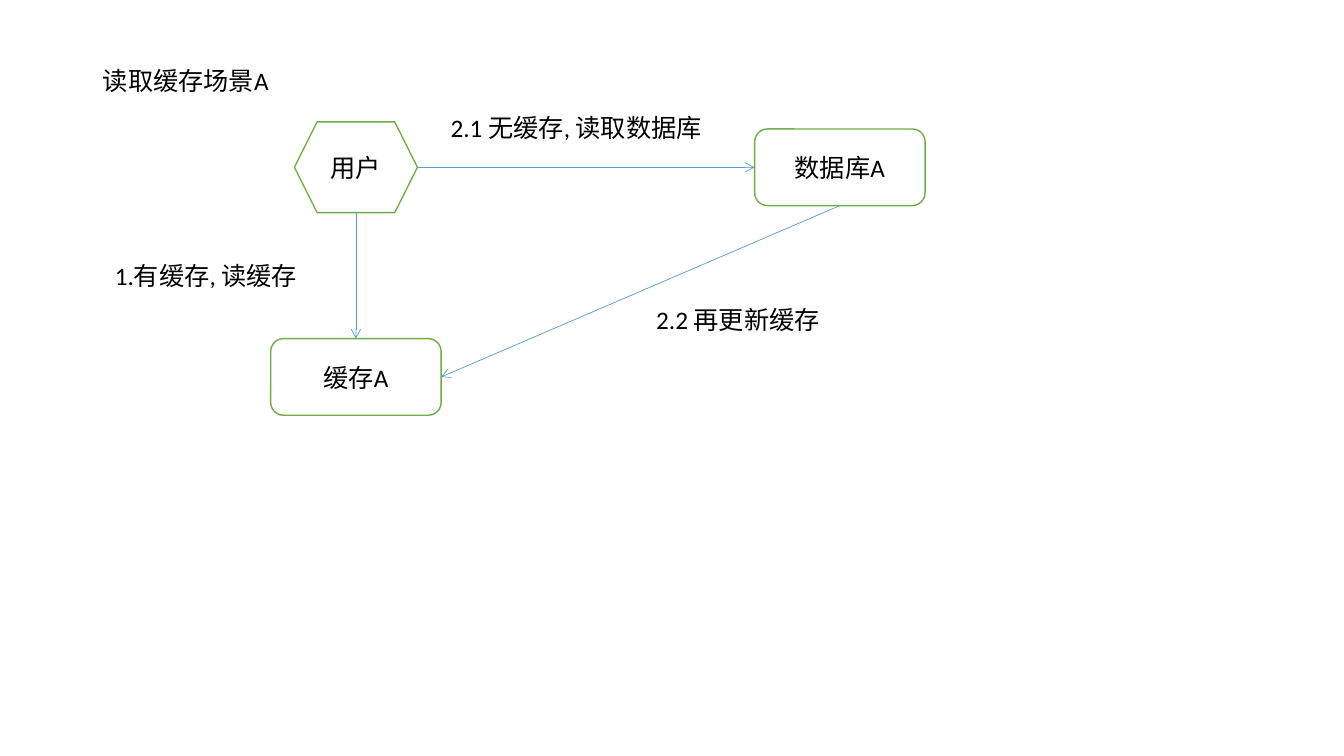
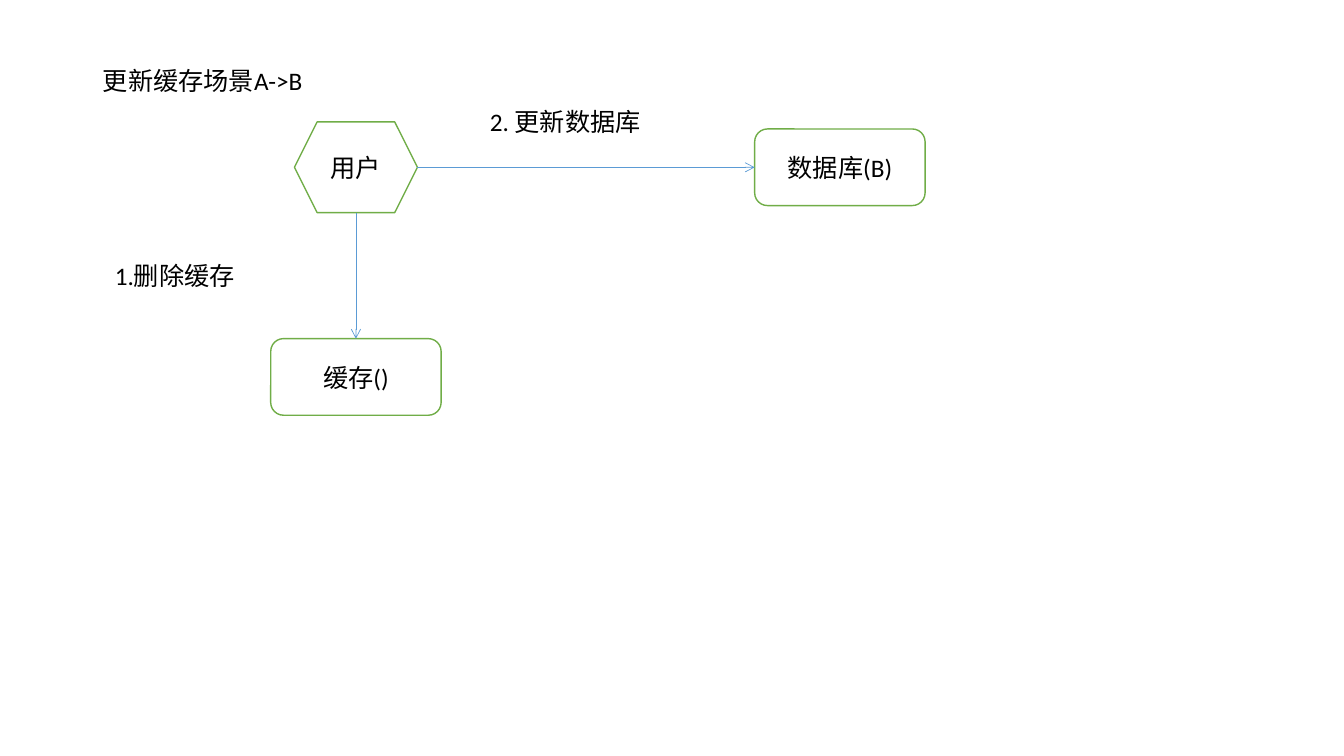
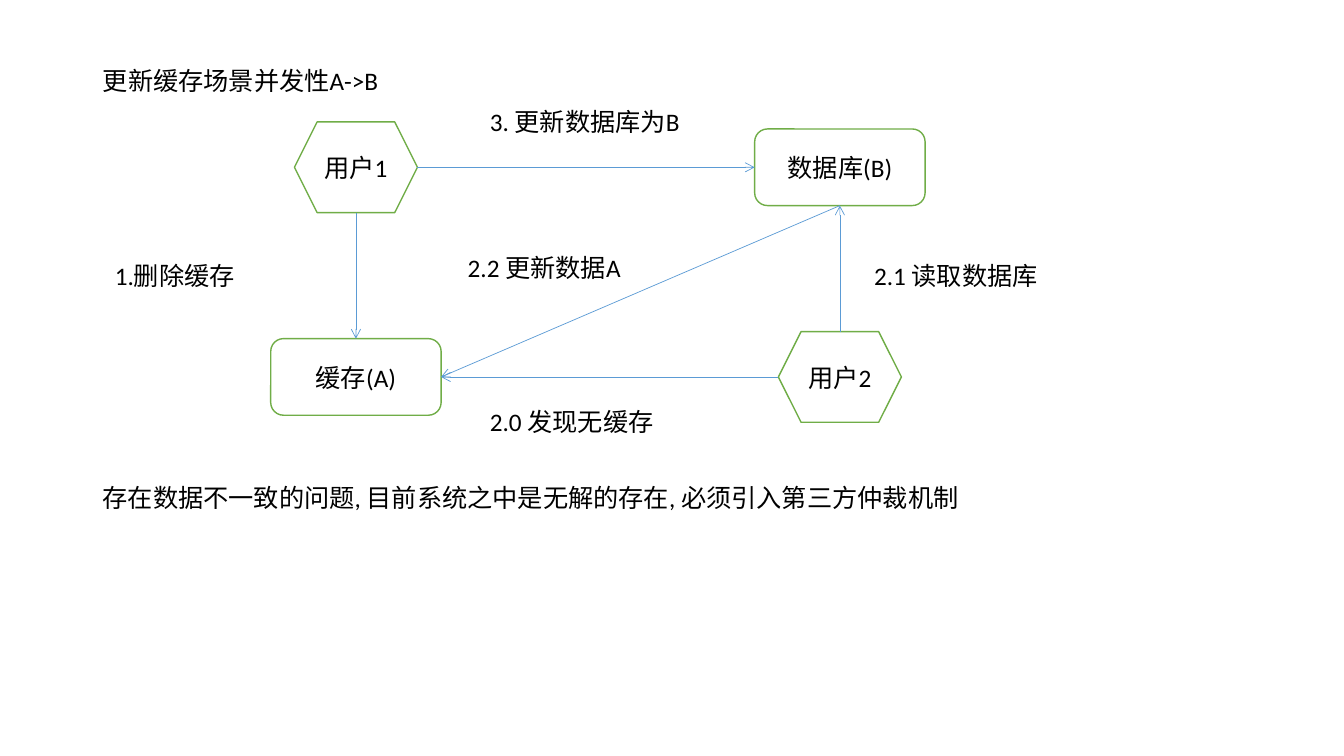
from lxml.etree import SubElement
from pptx import Presentation
from pptx.dml.color import RGBColor
from pptx.enum.shapes import MSO_CONNECTOR, MSO_SHAPE
from pptx.enum.text import MSO_ANCHOR, MSO_AUTO_SIZE, PP_ALIGN
from pptx.oxml.ns import qn
from pptx.util import Inches, Pt

COLORS = {"text": "000000", "fill": "FFFFFF", "outline": "70AD47", "arrow": "5B9BD5"}
FONT = "Calibri"
COLS = (3.53, 8.33)  # centres of the node grid, in inches
ROWS = (1.66, 3.74)
BOX = (1.69, 0.76)
HEXAGON = (1.22, 0.9)
LINE_HEIGHT = 0.4
MARGIN = 0.92
LABEL_LEFT = 1.04
LABEL_MID = 4.76
LABEL_ROW = 2.53
TOP, LEFT, BOTTOM, RIGHT = range(4)


def color(name):
    return RGBColor.from_string(COLORS[name])


def write(shape, text, align, anchor):
    tf = shape.text_frame
    tf.text = text
    tf.word_wrap = True
    tf.vertical_anchor = anchor
    p = tf.paragraphs[0]
    p.alignment = align
    p.font.name = FONT
    p.font.size = Pt(18)
    p.font.color.rgb = color("text")
    return tf


def write_line(shape, text):
    tf = write(shape, text, PP_ALIGN.LEFT, MSO_ANCHOR.TOP)
    tf.auto_size = MSO_AUTO_SIZE.SHAPE_TO_FIT_TEXT


def add_titled_slide(prs, title, width=2.58):
    s = prs.slides.add_slide(prs.slide_layouts[5])
    shape = s.shapes.title
    shape.left, shape.top = Inches(MARGIN), Inches(0.6)
    shape.width, shape.height = Inches(width), Inches(LINE_HEIGHT)
    write_line(shape, title)
    return s


def add_label(s, text, x, y, width):
    write_line(s.shapes.add_textbox(Inches(x), Inches(y), Inches(width), Inches(LINE_HEIGHT)), text)


def add_node(s, kind, size, text, col, row):
    """Place a node centred on a grid point."""
    w, h = size
    sp = s.shapes.add_shape(kind, Inches(COLS[col] - w / 2), Inches(ROWS[row] - h / 2),
                            Inches(w), Inches(h))
    sp.shadow.inherit = False
    sp.fill.solid()
    sp.fill.fore_color.rgb = color("fill")
    sp.line.color.rgb = color("outline")
    sp.line.width = Pt(1)
    write(sp, text, PP_ALIGN.CENTER, MSO_ANCHOR.MIDDLE)
    return sp


def add_box(s, text, col, row):
    return add_node(s, MSO_SHAPE.ROUNDED_RECTANGLE, BOX, text, col, row)


def add_user(s, text, col, row):
    return add_node(s, MSO_SHAPE.HEXAGON, HEXAGON, text, col, row)


def side_point(sp, side):
    x_share, y_share = ((0.5, 0), (0, 0.5), (0.5, 1), (1, 0.5))[side]
    return sp.left + int(sp.width * x_share), sp.top + int(sp.height * y_share)


def add_arrow(s, source, source_side, target, target_side):
    """Draw an arrow between sides, joined wherever the node is a box."""
    line = s.shapes.add_connector(MSO_CONNECTOR.STRAIGHT, *side_point(source, source_side),
                                  *side_point(target, target_side))
    if source.auto_shape_type == MSO_SHAPE.ROUNDED_RECTANGLE:
        line.begin_connect(source, source_side)
    if target.auto_shape_type == MSO_SHAPE.ROUNDED_RECTANGLE:
        line.end_connect(target, target_side)
    line.line.color.rgb = color("arrow")
    line.line.width = Pt(0.5)
    SubElement(line.line._get_or_add_ln(), qn("a:tailEnd"), type="arrow")
    SubElement(line._element.spPr, qn("a:effectLst"))


def add_cache_flow(s, cache_text, database_text, user_text, cache_step):
    """Draw the user, cache and database with the user's two arrows."""
    cache = add_box(s, cache_text, 0, 1)
    database = add_box(s, database_text, 1, 0)
    user = add_user(s, user_text, 0, 0)
    add_arrow(s, user, BOTTOM, cache, TOP)
    add_arrow(s, user, RIGHT, database, LEFT)
    add_label(s, cache_step, LABEL_LEFT, LABEL_ROW, 2.33)
    return cache, database


def build_read(prs):
    s = add_titled_slide(prs, "读取缓存场景A")
    cache, database = add_cache_flow(s, "缓存A", "数据库A", "用户", "1.有缓存, 读缓存")
    add_label(s, "2.1 无缓存, 读取数据库", 4.37, 1.07, 2.88)
    add_arrow(s, database, BOTTOM, cache, RIGHT)
    add_label(s, "2.2 再更新缓存", 6.41, 2.97, 2)


def build_update(prs):
    s = add_titled_slide(prs, "更新缓存场景A->B")
    add_cache_flow(s, "缓存()", "数据库(B)", "用户", "1.删除缓存")
    add_label(s, "2. 更新数据库", LABEL_MID, 1.01, 2.1)


def build_concurrent_update(prs):
    s = add_titled_slide(prs, "更新缓存场景并发性A->B", 3.14)
    cache, database = add_cache_flow(s, "缓存(A)", "数据库(B)", "用户1", "1.删除缓存")
    add_label(s, "3. 更新数据库为B", LABEL_MID, 1.01, 2.44)
    user = add_user(s, "用户2", 1, 1)
    add_arrow(s, user, LEFT, cache, RIGHT)
    add_arrow(s, user, TOP, database, BOTTOM)
    add_label(s, "2.1 读取数据库", 8.57, LABEL_ROW, 2.88)
    add_label(s, "2.0 发现无缓存", LABEL_MID, 3.98, 2.11)
    add_arrow(s, database, BOTTOM, cache, RIGHT)
    add_label(s, "2.2 更新数据A", 4.54, 2.45, 2.88)
    add_label(s, "存在数据不一致的问题, 目前系统之中是无解的存在, 必须引入第三方仲裁机制",
              MARGIN, 4.74, 8.93)


def main():
    prs = Presentation()
    prs.slide_width, prs.slide_height = Inches(13.33), Inches(7.5)
    build_read(prs)
    build_update(prs)
    build_concurrent_update(prs)
    prs.save("out.pptx")


if __name__ == "__main__":
    main()
